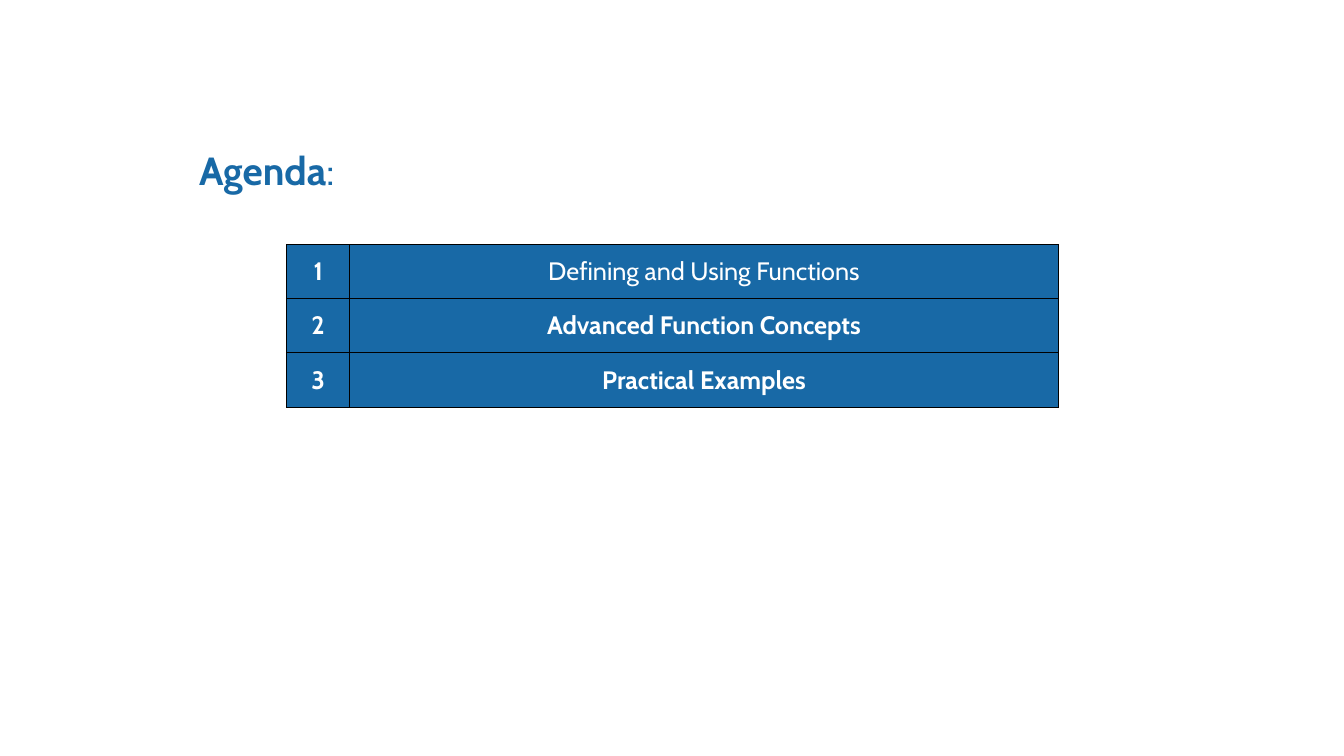
from lxml import etree
from pptx import Presentation
from pptx.dml.color import RGBColor
from pptx.enum.text import MSO_ANCHOR, MSO_AUTO_SIZE, PP_ALIGN
from pptx.oxml.ns import qn
from pptx.util import Pt

PX = 9525
TITLE_ONLY = 5
LEFT, CENTER = PP_ALIGN.LEFT, PP_ALIGN.CENTER
MIDDLE = MSO_ANCHOR.MIDDLE
NO_AUTOFIT = MSO_AUTO_SIZE.NONE
FONT = "Cabin"
BLUE, WHITE, BLACK = "1869A6", "FFFFFF", "000000"
TOPICS = [
    ("Defining and Using Functions", False),
    ("Advanced Function Concepts", True),
    ("Practical Examples", True),
]
COLUMN_WIDTHS = [60, 675]
ROW_HEIGHTS = [51, 52, 52]


def px(*lengths):
    """Turn pixel lengths into EMU."""
    return [length * PX for length in lengths]


def rgb(color):
    """Turn a hex string into a colour."""
    return RGBColor.from_string(color)


def style_paragraph(paragraph, size, color, align):
    """Set the font and alignment of a paragraph."""
    paragraph.alignment = align
    paragraph.font.name = FONT
    paragraph.font.size = Pt(size)
    paragraph.font.color.rgb = rgb(color)


def add_heading(slide):
    """Place the heading in the title placeholder."""
    heading = slide.shapes.title
    heading.left, heading.top, heading.width, heading.height = px(180, 134, 183, 55)
    frame = heading.text_frame
    frame.auto_size = NO_AUTOFIT
    frame.word_wrap = True
    frame.vertical_anchor = MIDDLE
    paragraph = frame.paragraphs[0]
    style_paragraph(paragraph, 28, BLUE, LEFT)
    for text, bold in (("Agenda", True), (":", False)):
        run = paragraph.add_run()
        run.text = text
        run.font.bold = bold


def add_borders(cell, color, width):
    """Draw a solid line on all four sides of a cell."""
    properties = cell._tc.get_or_add_tcPr()
    for side in ("a:lnL", "a:lnR", "a:lnT", "a:lnB"):
        line = etree.SubElement(properties, qn(side), w=str(Pt(width)))
        fill = etree.SubElement(line, qn("a:solidFill"))
        etree.SubElement(fill, qn("a:srgbClr"), val=color)


def fill_cell(cell, text, bold):
    """Write one agenda cell with its borders and fill."""
    add_borders(cell, BLACK, 1)
    cell.fill.solid()
    cell.fill.fore_color.rgb = rgb(BLUE)
    cell.vertical_anchor = MIDDLE
    cell.text = text
    paragraph = cell.text_frame.paragraphs[0]
    style_paragraph(paragraph, 18, WHITE, CENTER)
    paragraph.font.bold = bold


def add_agenda(slide):
    """Add the table of numbered topics."""
    bounds = px(273, 233, sum(COLUMN_WIDTHS), sum(ROW_HEIGHTS))
    agenda = slide.shapes.add_table(len(TOPICS), len(COLUMN_WIDTHS), *bounds).table
    agenda.first_row = agenda.horz_banding = False
    for column, width in zip(agenda.columns, px(*COLUMN_WIDTHS)):
        column.width = width
    for row, height in zip(agenda.rows, px(*ROW_HEIGHTS)):
        row.height = height
    for index, (topic, bold) in enumerate(TOPICS):
        fill_cell(agenda.cell(index, 0), str(index + 1), True)
        fill_cell(agenda.cell(index, 1), topic, bold)


def main():
    """Build the agenda slide."""
    deck = Presentation()
    deck.slide_width, deck.slide_height = px(1280, 720)
    slide = deck.slides.add_slide(deck.slide_layouts[TITLE_ONLY])
    add_heading(slide)
    add_agenda(slide)
    deck.save("out.pptx")


if __name__ == "__main__":
    main()
